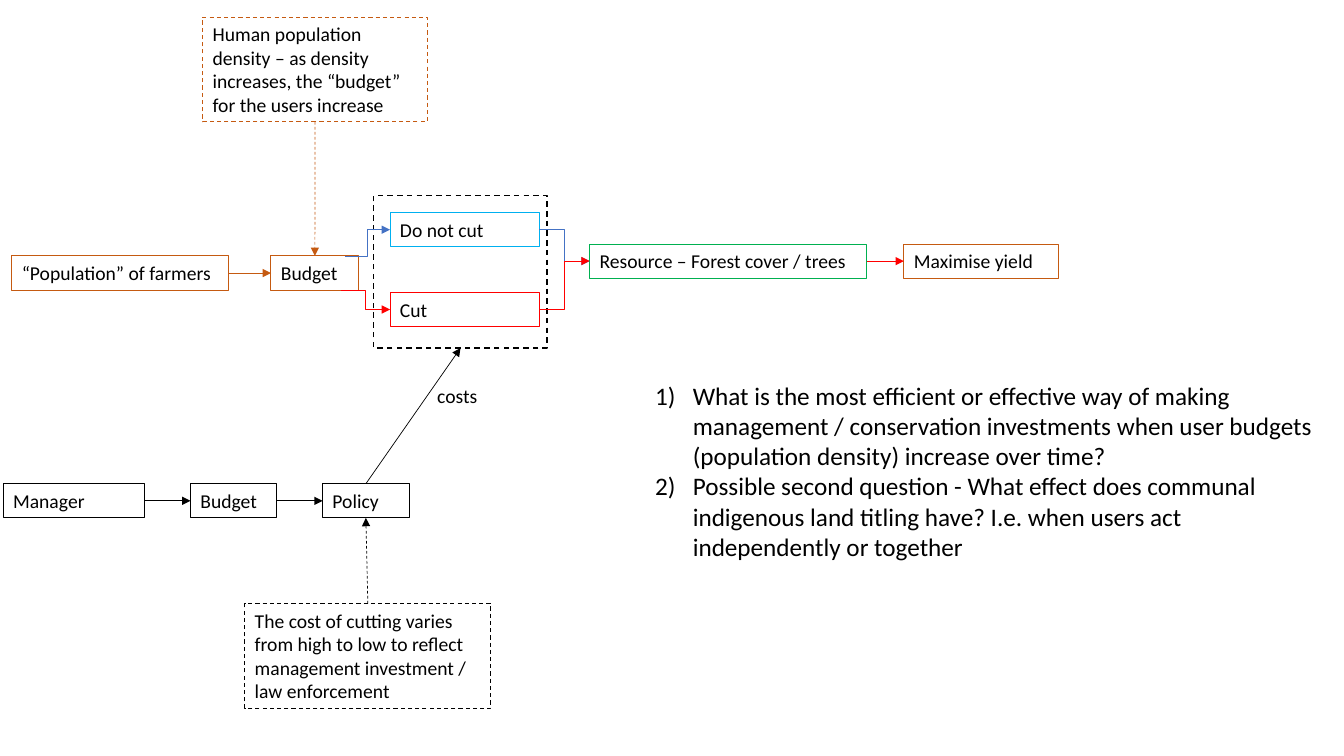
from lxml.etree import SubElement
from pptx import Presentation
from pptx.dml.color import RGBColor
from pptx.enum.dml import MSO_LINE
from pptx.enum.shapes import MSO_CONNECTOR as CONN, MSO_SHAPE as SHAPE
from pptx.enum.text import MSO_AUTO_SIZE as AUTO
from pptx.oxml.ns import qn
from pptx.util import Cm, Pt

COLORS = {"black": "000000", "orange": "C55A11", "green": "00B050",
          "sky": "00B0F0", "red": "FF0000", "blue": "4472C4"}
TOP, LEFT, BOTTOM, RIGHT = range(4)
ROW_H, NOTE_H = 0.86, 2.64
USER_Y, YIELD_Y, MANAGER_Y = 6.45, 6.15, 12.19


class Diagram:
    """Holds the style and the slide, and draws each kind of element."""

    def __init__(self, slide, font="Calibri"):
        """Keep the slide and the font."""
        self.shapes, self.font = slide.shapes, font

    def outline(self, sp, color, width, dash):
        """Format the line of a shape or connector."""
        sp.line.color.rgb = RGBColor.from_string(COLORS[color])
        sp.line.width = Pt(width)
        if dash:
            sp.line.dash_style = MSO_LINE.DASH

    def text(self, paragraphs, x, y, w, h=ROW_H, size=14, wrap=True):
        """Add a text box with one paragraph per string."""
        sp = self.shapes.add_textbox(Cm(x), Cm(y), Cm(w), Cm(h))
        tf = sp.text_frame
        tf.word_wrap, tf.auto_size = wrap, AUTO.SHAPE_TO_FIT_TEXT
        tf.text = "\n".join(paragraphs)
        for p in tf.paragraphs:
            for r in p.runs:
                r.font.name, r.font.size = self.font, Pt(size)
                r.font.color.rgb = RGBColor.from_string(COLORS["black"])
        return sp

    def box(self, text, x, y, w, color="black", h=ROW_H, dash=False):
        """Add an outlined text box."""
        sp = self.text([text], x, y, w, h)
        self.outline(sp, color, 0.75, dash)
        return sp

    def frame(self, x, y, w, h):
        """Add an empty dashed frame."""
        sp = self.shapes.add_shape(SHAPE.RECTANGLE, Cm(x), Cm(y), Cm(w), Cm(h))
        sp.shadow.inherit = False
        sp.fill.background()
        self.outline(sp, "black", 1, True)
        return sp

    def numbered(self, paragraphs, x, y, w, h, size):
        """Add a numbered list with a hanging indent."""
        sp = self.text(paragraphs, x, y, w, h, size)
        for p in sp.text_frame.paragraphs:
            pPr = p._p.get_or_add_pPr()
            pPr.set("marL", str(Cm(0.95)))
            pPr.set("indent", str(-Cm(0.95)))
            SubElement(pPr, qn("a:buFont"), typeface="+mj-lt")
            SubElement(pPr, qn("a:buAutoNum"), type="arabicParenR")
        return sp

    def arrow(self, start, end, color="black", kind=CONN.STRAIGHT, dash=False, at=None):
        """Join two (shape, side) ends, or begin at a free point."""
        x, y = at or (0, 0)
        con = self.shapes.add_connector(kind, Cm(x), Cm(y), Cm(x), Cm(y))
        if start:
            con.begin_connect(*start)
        con.end_connect(*end)
        self.outline(con, color, 0.5, dash)
        SubElement(con.line._get_or_add_ln(), qn("a:tailEnd"), type="triangle")
        SubElement(con._element.spPr, qn("a:effectLst"))


prs = Presentation()
prs.slide_width, prs.slide_height = Cm(33.87), Cm(19.05)
d = Diagram(prs.slides.add_slide(prs.slide_layouts[6]))

farmers = d.box("“Population” of farmers", 0.3, USER_Y, 5.46, "orange")
density = d.box("Human population density – as density increases, the “budget” "
                "for the users increase", 5.11, 0.43, 5.66, "orange", NOTE_H, True)
user_budget = d.box("Budget", 6.83, USER_Y, 2.21, "orange")
max_yield = d.box("Maximise yield", 22.78, YIELD_Y, 3.89, "orange")
resource = d.box("Resource – Forest cover / trees", 14.86, YIELD_Y, 6.99, "green")
keep = d.box("Do not cut", 9.83, 5.36, 3.76, "sky")
cut = d.box("Cut", 9.83, 7.37, 3.76, "red")
choice = d.frame(9.42, 4.93, 4.37, 3.84)

manager = d.box("Manager", 0.08, MANAGER_Y, 3.56)
manager_budget = d.box("Budget", 4.8, MANAGER_Y, 2.18)
policy = d.box("Policy", 8.13, MANAGER_Y, 2.18)
cost_note = d.box("The cost of cutting varies from high to low to reflect management "
                  "investment / law enforcement", 6.17, 15.21, 6.2, h=NOTE_H, dash=True)
d.text(["costs"], 10.77, 9.55, 1.6, wrap=False)

d.arrow((density, BOTTOM), (user_budget, TOP), "orange", dash=True)
d.arrow((farmers, RIGHT), (user_budget, LEFT), "orange")
d.arrow(None, (keep, LEFT), "blue", CONN.ELBOW, at=(8.69, USER_Y))
d.arrow(None, (cut, LEFT), "red", CONN.ELBOW, at=(8.6, USER_Y + ROW_H))
d.arrow((keep, RIGHT), (resource, LEFT), "blue", CONN.ELBOW)
d.arrow((cut, RIGHT), (resource, LEFT), "red", CONN.ELBOW)
d.arrow((resource, RIGHT), (max_yield, LEFT), "red")
d.arrow((manager, RIGHT), (manager_budget, LEFT))
d.arrow((manager_budget, RIGHT), (policy, LEFT))
d.arrow((policy, TOP), (choice, BOTTOM))
d.arrow((cost_note, TOP), (policy, BOTTOM), dash=True)

d.numbered(["What is the most efficient or effective way of making management / "
            "conservation investments when user budgets (population density) "
            "increase over time?",
            "Possible second question - What effect does communal indigenous land "
            "titling have? I.e. when users act independently or together"],
           16.26, 9.45, 17.6, 4.88, 18)

prs.save("out.pptx")
